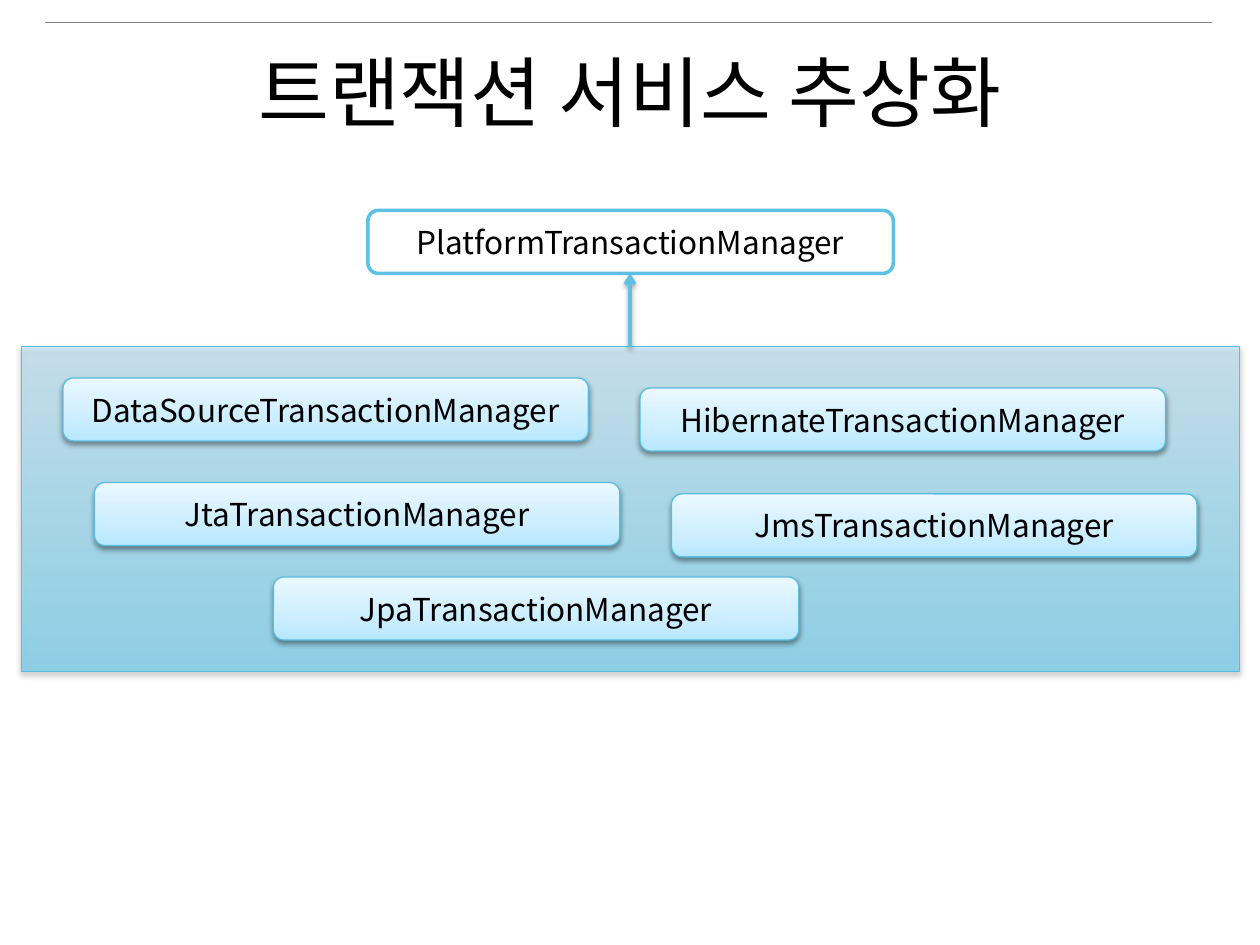
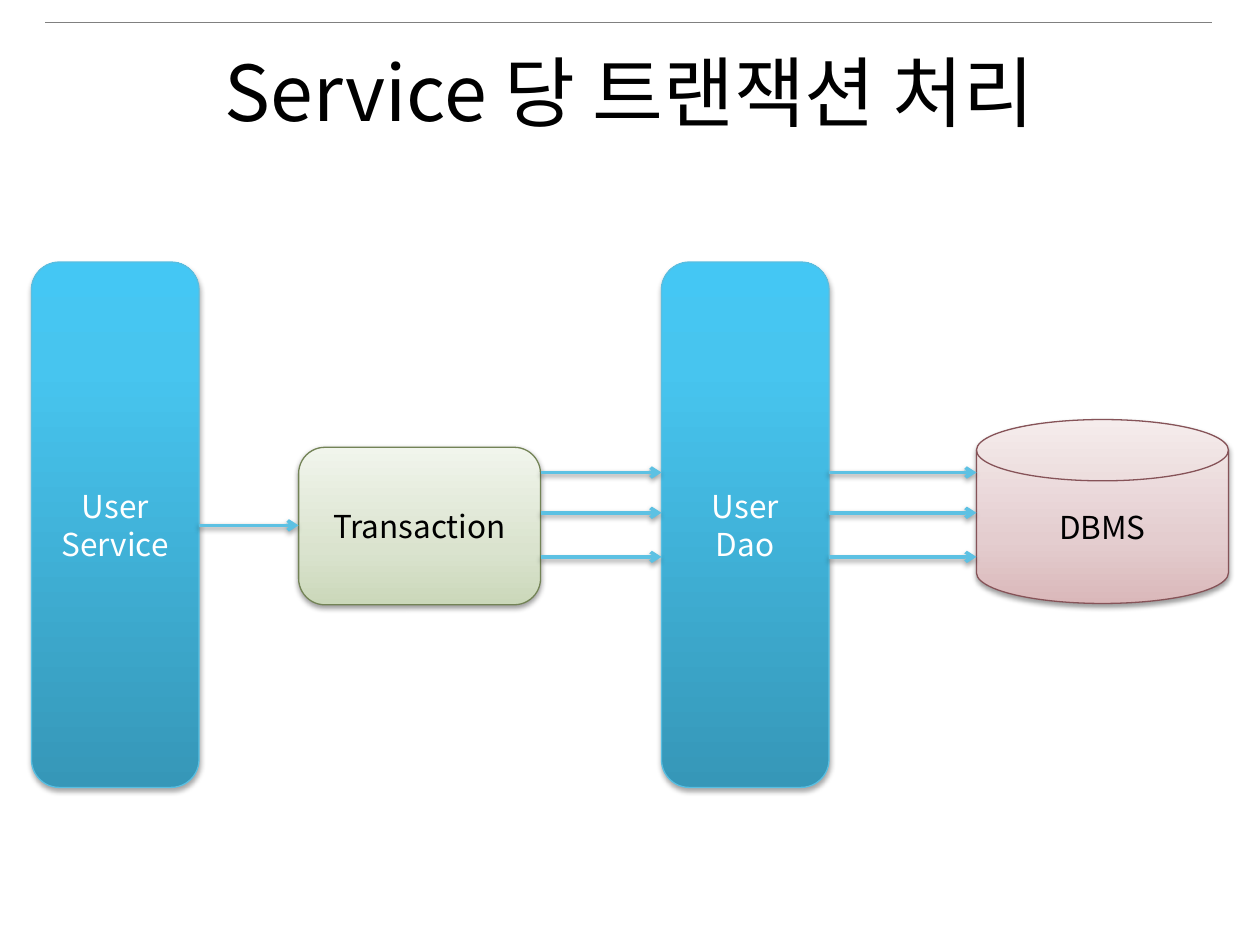
from lxml import etree
from pptx import Presentation
from pptx.dml.color import RGBColor
from pptx.enum import shapes, text
from pptx.oxml import ns
from pptx.util import Inches, Pt

FONT = "Noto Sans CJK KR"
COLORS = {
    "black": "000000", "white": "FFFFFF", "rule": "808080", "accent": "5DC1E3",
    "blue_edge": "58BEE1", "green_edge": "738356", "red_edge": "865358",
}
# Gradient stops run from bottom to top: (position %, colour, opacity %)
STYLES = {
    "outline": dict(fill="white", edge="accent", width=2, font="black"),
    "panel": dict(stops=[(0, "49CBF7", 50), (100, "B7E7FF", 50)],
                  edge="blue_edge", width=0.75, font="black", shadow=(35, 1.8)),
    "pale": dict(stops=[(0, "B7E7FF", 100), (35, "CCEEFF", 100), (100, "EBF8FF", 100)],
                 edge="blue_edge", width=0.75, font="black", shadow=(38, 1.6)),
    "blue": dict(stops=[(0, "3697B8", 100), (80, "47C5EF", 100), (100, "44C7F4", 100)],
                 edge="blue_edge", width=0.75, font="white", shadow=(35, 1.8)),
    "green": dict(stops=[(0, "CBD8BA", 100), (35, "DAE3CE", 100), (100, "F1F5EC", 100)],
                  edge="green_edge", width=0.75, font="black", shadow=(38, 1.6)),
    "red": dict(stops=[(0, "DAB8BA", 100), (35, "E4CDCF", 100), (100, "F5ECEC", 100)],
                edge="red_edge", width=0.75, font="black", shadow=(38, 1.6)),
}
SHAPE = shapes.MSO_SHAPE


def rgb(name):
    return RGBColor.from_string(COLORS[name])


def add_xml(parent, tag, **attrs):
    child = etree.SubElement(parent, ns.qn(tag))
    for key, value in attrs.items():
        child.set(key, str(value))
    return child


def add_color(parent, color, opacity):
    add_xml(add_xml(parent, "a:srgbClr", val=color), "a:alpha", val=opacity * 1000)


class Deck:
    def __init__(self):
        self.prs = Presentation()
        self.prs.slide_width, self.prs.slide_height = Inches(10), Inches(7.5)
        self.s = None

    def slide(self, title):
        first = self.s is None
        self.s = self.prs.slides.add_slide(self.prs.slide_layouts[5])
        if first:
            self.master_rule()
        sp = self.s.shapes.title
        sp.left, sp.top, sp.width, sp.height = map(Inches, (0.5, 0.3, 9, 1.25))
        self.put_text(sp, [title], 44, "black", text.MSO_ANCHOR.TOP)

    def master_rule(self):
        """Draw the top rule and move it to the master, so every slide shows it."""
        rule = self.line((0.36, 0.18), (9.62, 0.18), "rule", 0.25)
        self.prs.slide_master.element.cSld.spTree.append(rule.element)

    def put_text(self, sp, lines, size, color, anchor=text.MSO_ANCHOR.MIDDLE):
        tf = sp.text_frame
        frame_format = dict(word_wrap=True, vertical_anchor=anchor,
                            auto_size=text.MSO_AUTO_SIZE.NONE)
        for key, value in frame_format.items():
            setattr(tf, key, value)
        for i, line in enumerate(lines):
            p = tf.add_paragraph() if i else tf.paragraphs[0]
            p.alignment = text.PP_ALIGN.CENTER
            r = p.add_run()
            r.text = line
            for key, value in dict(name=FONT, size=Pt(size)).items():
                setattr(r.font, key, value)
            r.font.color.rgb = rgb(color)
        for run_format in sp.element.findall(".//" + ns.qn("a:rPr")):
            add_xml(run_format, "a:ea", typeface=FONT)

    def box(self, kind, style, left, top, width, height, *lines, parent=None):
        look = STYLES[style]
        sp = (parent or self.s).shapes.add_shape(
            kind, *map(Inches, (left, top, width, height)))
        if "stops" in look:
            self.gradient(sp, look["stops"])
        else:
            sp.fill.solid()
            sp.fill.fore_color.rgb = rgb(look["fill"])
        sp.line.color.rgb = rgb(look["edge"])
        sp.line.width = Pt(look["width"])
        sp.shadow.inherit = False
        if "shadow" in look:
            self.shadow(sp, *look["shadow"])
        if lines:
            self.put_text(sp, lines, 18, look["font"])

    def gradient(self, sp, stops):
        sp.fill.gradient()
        sp.fill.gradient_angle = 90
        gs_list = sp.element.spPr.find(".//" + ns.qn("a:gsLst"))
        for gs in list(gs_list):
            gs_list.remove(gs)
        for pos, color, opacity in stops:
            add_color(add_xml(gs_list, "a:gs", pos=pos * 1000), color, opacity)

    def shadow(self, sp, opacity, distance):
        effects = sp.element.spPr.find(ns.qn("a:effectLst"))
        outer = add_xml(effects, "a:outerShdw", blurRad=int(Pt(3.1)),
                        dist=int(Pt(distance)), dir=90 * 60000, rotWithShape=0)
        add_color(outer, COLORS["black"], opacity)

    def line(self, start, end, color, width):
        cn = self.s.shapes.add_connector(
            shapes.MSO_CONNECTOR.STRAIGHT, *map(Inches, start + end))
        cn.line.color.rgb = rgb(color)
        cn.line.width = Pt(width)
        add_xml(cn.element.spPr, "a:effectLst")
        return cn

    def arrow(self, start, end):
        cn = self.line(start, end, "accent", 2)
        add_xml(cn.element.spPr.find(ns.qn("a:ln")), "a:tailEnd", type="arrow")
        self.shadow(cn, 38, 1.6)


def transaction_managers(deck):
    deck.slide("트랜잭션 서비스 추상화")
    width, height = 4.17, 0.5
    deck.box(SHAPE.ROUNDED_RECTANGLE, "outline", 2.92, 1.67, width, height,
             "PlatformTransactionManager")
    group = deck.s.shapes.add_group_shape()
    deck.box(SHAPE.RECTANGLE, "panel", 0.17, 2.75, 9.67, 2.58, parent=group)
    managers = [("DataSource", 0.5, 3), ("Hibernate", 5.08, 3.08), ("Jta", 0.75, 3.83),
                ("Jpa", 2.17, 4.58), ("Jms", 5.33, 3.92)]
    for name, left, top in managers:
        deck.box(SHAPE.ROUNDED_RECTANGLE, "pale", left, top, width, height,
                 name + "TransactionManager", parent=group)
    deck.arrow((5, 2.75), (5, 2.17))


def service_transaction(deck):
    deck.slide("Service 당 트랜잭션 처리")
    service_left, dao_left, layer_width = 0.25, 5.25, 1.33
    tx_left, tx_width, dbms_left = 2.37, 1.92, 7.75
    deck.box(SHAPE.ROUNDED_RECTANGLE, "green", tx_left, 3.55, tx_width, 1.25, "Transaction")
    deck.box(SHAPE.FLOWCHART_MAGNETIC_DISK, "red", dbms_left, 3.33, 2, 1.46, "DBMS")
    for left, name in ((service_left, "Service"), (dao_left, "Dao")):
        deck.box(SHAPE.ROUNDED_RECTANGLE, "blue", left, 2.08, layer_width, 4.17, "User", name)
    deck.arrow((service_left + layer_width, 4.17), (tx_left, 4.17))
    for y in (3.75, 4.07, 4.42):
        deck.arrow((tx_left + tx_width, y), (dao_left, y))
        deck.arrow((dao_left + layer_width, y), (dbms_left, y))


def main():
    deck = Deck()
    transaction_managers(deck)
    service_transaction(deck)
    deck.prs.save("out.pptx")


if __name__ == "__main__":
    main()
